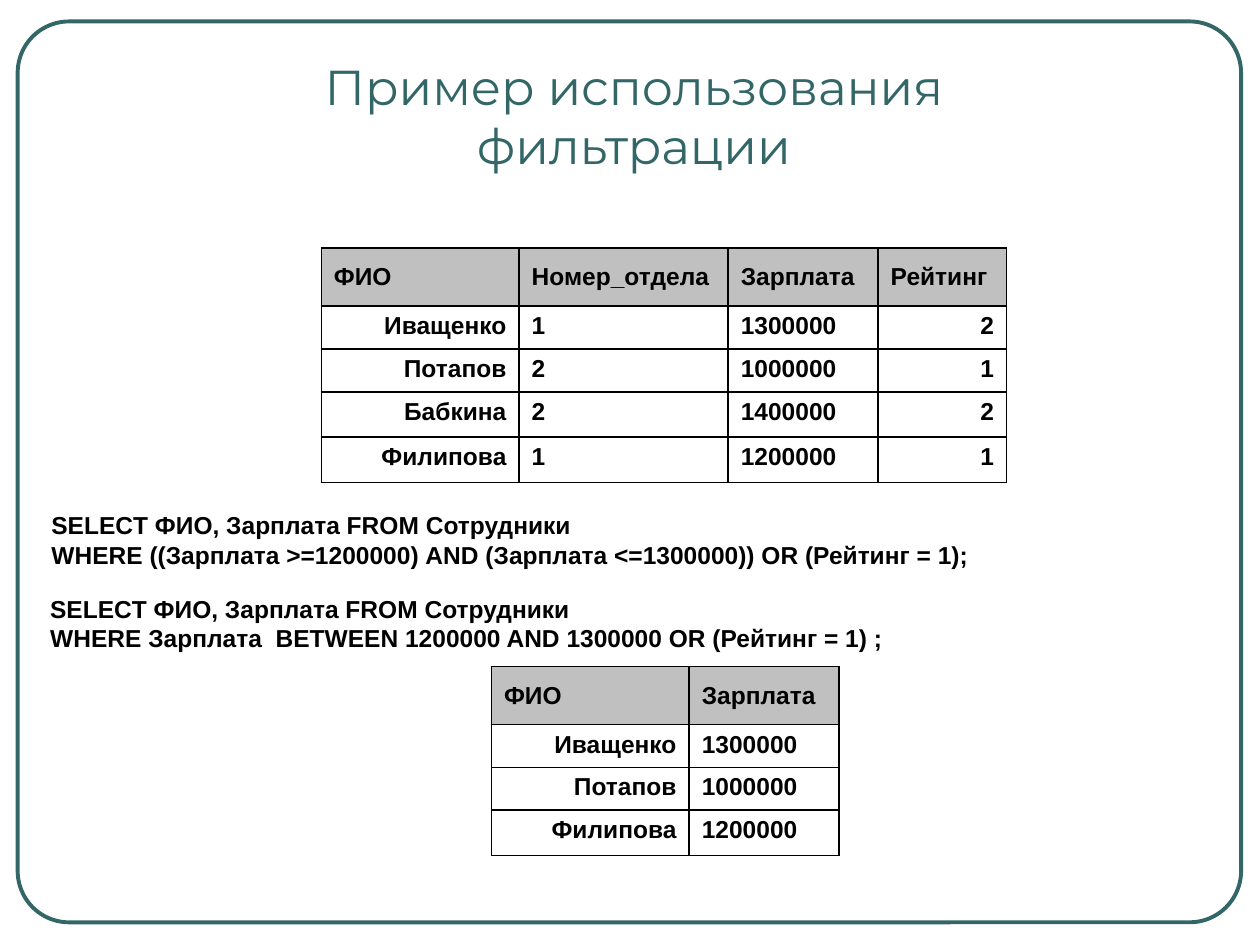
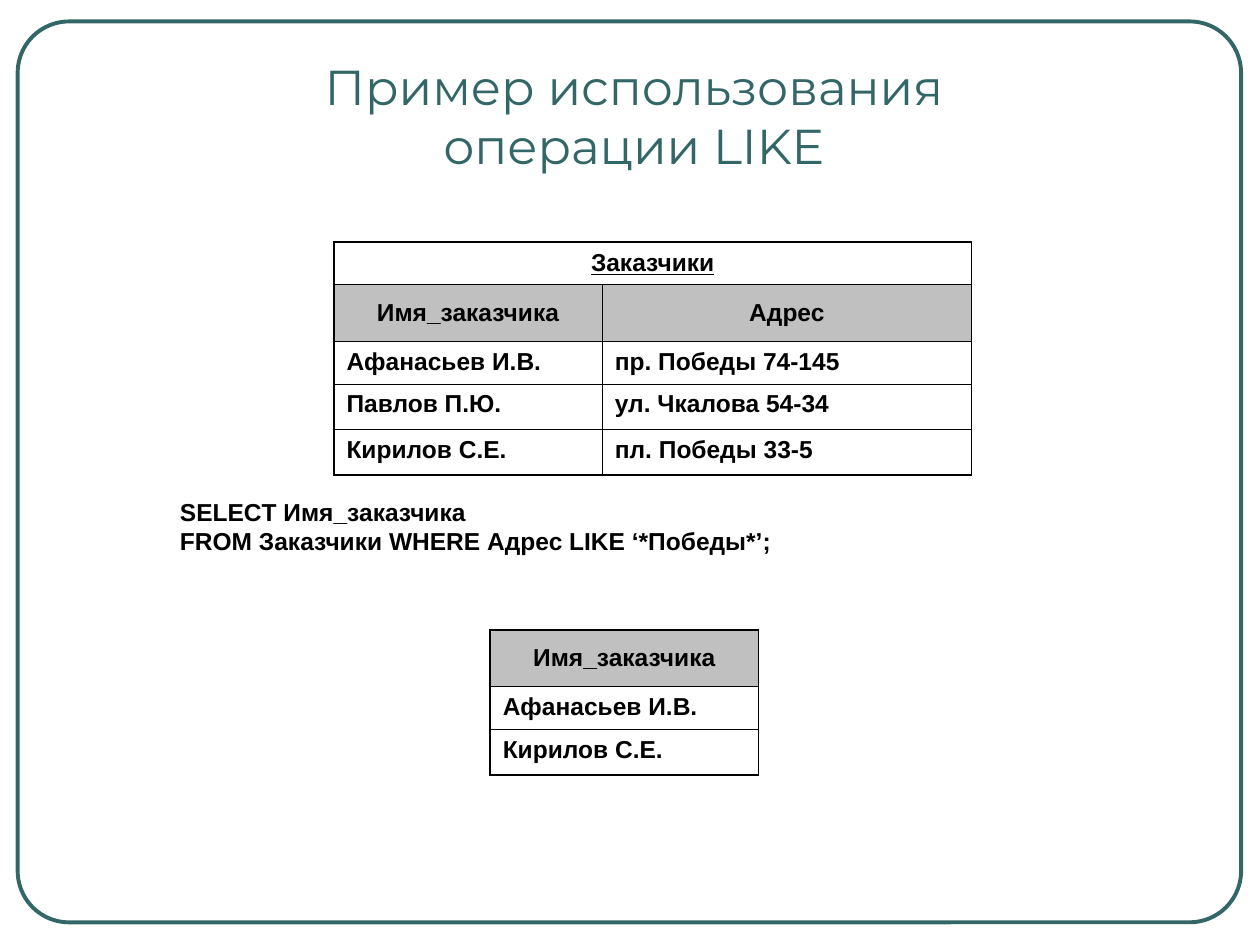
"""Builds two slides with examples of SQL filtering and of the LIKE operation."""
import pptx
import pptx.util
import pptx.dml.color
import pptx.enum.shapes
import pptx.enum.text
import pptx.oxml
import pptx.oxml.ns

Inches = pptx.util.Inches
Pt = pptx.util.Pt
RGBColor = pptx.dml.color.RGBColor
ALIGN = pptx.enum.text.PP_ALIGN
ANCHOR = pptx.enum.text.MSO_ANCHOR

TEAL = RGBColor(0x33, 0x66, 0x66)
BLACK = RGBColor(0x00, 0x00, 0x00)
WHITE = RGBColor(0xFF, 0xFF, 0xFF)
SILVER = RGBColor(0xC0, 0xC0, 0xC0)

TITLE_FONT, BODY_FONT = "Montserrat", "Arial"
TITLE_SIZE, BODY_SIZE = Pt(28), Pt(14)
BORDER_WIDTH = Pt(0.96)
NAME_WIDTH, PAY_WIDTH, CUSTOMER_WIDTH = 1.57, 1.19, 2.13


def style_paragraph(paragraph, font_name, size, color, bold=False):
    paragraph.font.name = font_name
    paragraph.font.size = size
    paragraph.font.bold = bold
    paragraph.font.color.rgb = color


def add_frame(slide):
    frame = slide.shapes.add_shape(
        pptx.enum.shapes.MSO_SHAPE.ROUNDED_RECTANGLE,
        Inches(0.14), Inches(0.17), Inches(9.71), Inches(7.15))
    frame.adjustments[0] = 0.057
    frame.shadow.inherit = False
    frame.fill.background()
    frame.line.color.rgb = TEAL
    frame.line.width = Pt(2.25)


def add_lines(slide, lines, left, top, width, height):
    box = slide.shapes.add_textbox(
        Inches(left), Inches(top), Inches(width), Inches(height))
    text_frame = box.text_frame
    text_frame.word_wrap = True
    text_frame.text = "\n".join(lines)
    return text_frame


def add_title(slide, *lines):
    title = add_lines(slide, lines, 0.82, 0.4, 8.42, 0.73)
    for paragraph in title.paragraphs:
        paragraph.alignment = ALIGN.CENTER
        style_paragraph(paragraph, TITLE_FONT, TITLE_SIZE, TEAL)


def add_query(slide, lines, left, top, width, wrap=True):
    query = add_lines(slide, lines, left, top, width, 0.57)
    query.word_wrap = wrap
    query.vertical_anchor = ANCHOR.MIDDLE
    for paragraph in query.paragraphs:
        style_paragraph(paragraph, BODY_FONT, BODY_SIZE, BLACK, bold=True)


def set_borders(cell):
    properties = cell._tc.get_or_add_tcPr()
    for index, side in enumerate("LRTB"):
        border = pptx.oxml.parse_xml(
            f'<a:ln{side} {pptx.oxml.ns.nsdecls("a")} w="{BORDER_WIDTH}">'
            f'<a:solidFill><a:srgbClr val="{BLACK}"/></a:solidFill></a:ln{side}>')
        properties.insert(index, border)


def fill_cell(cell, text, alignment, fill, anchor=ANCHOR.TOP):
    cell.text = text
    cell.vertical_anchor = anchor
    cell.fill.solid()
    cell.fill.fore_color.rgb = fill
    paragraph = cell.text_frame.paragraphs[0]
    paragraph.alignment = alignment
    style_paragraph(paragraph, BODY_FONT, BODY_SIZE, BLACK, bold=True)
    set_borders(cell)


def add_data_table(slide, left, top, widths, heights, header, records,
                   alignments, header_alignment=ALIGN.LEFT, caption=None):
    graphic = slide.shapes.add_table(
        len(heights), len(widths), Inches(left), Inches(top),
        Inches(sum(widths)), Inches(sum(heights)))
    table = graphic.table
    table.first_row = table.horz_banding = False
    for column, width in zip(table.columns, widths):
        column.width = Inches(width)
    for row, height in zip(table.rows, heights):
        row.height = Inches(height)

    header_row = 0
    if caption:
        header_row = 1
        for column in range(len(widths)):
            set_borders(table.cell(0, column))
        caption_cell = table.cell(0, 0)
        caption_cell.merge(table.cell(0, len(widths) - 1))
        fill_cell(caption_cell, caption, ALIGN.CENTER, WHITE, ANCHOR.MIDDLE)
        caption_cell.text_frame.paragraphs[0].font.underline = True
    for column, name in enumerate(header):
        fill_cell(table.cell(header_row, column), name, header_alignment,
                  SILVER, ANCHOR.MIDDLE)
    for row, record in enumerate(records, header_row + 1):
        for column, (value, alignment) in enumerate(zip(record, alignments)):
            fill_cell(table.cell(row, column), value, alignment, WHITE)


def add_framed_slide(presentation, *title_lines):
    slide = presentation.slides.add_slide(presentation.slide_layouts[6])
    add_frame(slide)
    add_title(slide, *title_lines)
    return slide


def build_filter_slide(presentation):
    slide = add_framed_slide(presentation, "Пример использования", "фильтрации")
    employees = [
        ("Иващенко", "1", "1300000", "2"),
        ("Потапов", "2", "1000000", "1"),
        ("Бабкина", "2", "1400000", "2"),
        ("Филипова", "1", "1200000", "1"),
    ]
    selected = [(name, pay) for name, _, pay, rating in employees
                if 1200000 <= int(pay) <= 1300000 or rating == "1"]
    select_line = "SELECT ФИО, Зарплата FROM Сотрудники"
    add_query(slide, [
        select_line,
        "WHERE ((Зарплата >=1200000) AND (Зарплата <=1300000)) OR (Рейтинг = 1);",
    ], 0.31, 4, 8.1)
    add_query(slide, [
        select_line,
        "WHERE Зарплата  BETWEEN 1200000 AND 1300000 OR (Рейтинг = 1) ;",
    ], 0.3, 4.66, 7.23)
    add_data_table(
        slide, 2.55, 1.97, [NAME_WIDTH, 1.66, PAY_WIDTH, 1.02],
        [0.46, 0.34, 0.34, 0.36, 0.36],
        ["ФИО", "Номер_отдела", "Зарплата", "Рейтинг"], employees,
        [ALIGN.RIGHT, ALIGN.LEFT, ALIGN.LEFT, ALIGN.RIGHT])
    add_data_table(
        slide, 3.9, 5.29, [NAME_WIDTH, PAY_WIDTH], [0.46, 0.34, 0.34, 0.36],
        ["ФИО", "Зарплата"], selected, [ALIGN.RIGHT, ALIGN.LEFT])


def build_like_slide(presentation):
    slide = add_framed_slide(presentation, "Пример использования", "операции LIKE")
    customers = [
        ("Афанасьев И.В.", "пр. Победы 74-145"),
        ("Павлов П.Ю.", "ул. Чкалова 54-34"),
        ("Кирилов С.Е.", "пл. Победы 33-5"),
    ]
    matching = [(name,) for name, address in customers if "Победы" in address]
    add_data_table(
        slide, 2.65, 1.92, [CUSTOMER_WIDTH, 2.93], [0.34, 0.45, 0.34, 0.36, 0.36],
        ["Имя_заказчика", "Адрес"], customers, [ALIGN.LEFT, ALIGN.LEFT],
        ALIGN.CENTER, caption="Заказчики")
    add_query(slide, [
        "SELECT Имя_заказчика",
        "FROM Заказчики WHERE Адрес LIKE ‘*Победы*’;",
    ], 1.33, 3.89, 4.9, wrap=False)
    add_data_table(
        slide, 3.89, 5, [CUSTOMER_WIDTH], [0.45, 0.34, 0.36],
        ["Имя_заказчика"], matching, [ALIGN.LEFT], ALIGN.CENTER)


def main():
    presentation = pptx.Presentation()
    presentation.slide_width = Inches(10)
    presentation.slide_height = Inches(7.5)
    build_filter_slide(presentation)
    build_like_slide(presentation)
    presentation.save("out.pptx")


if __name__ == "__main__":
    main()
